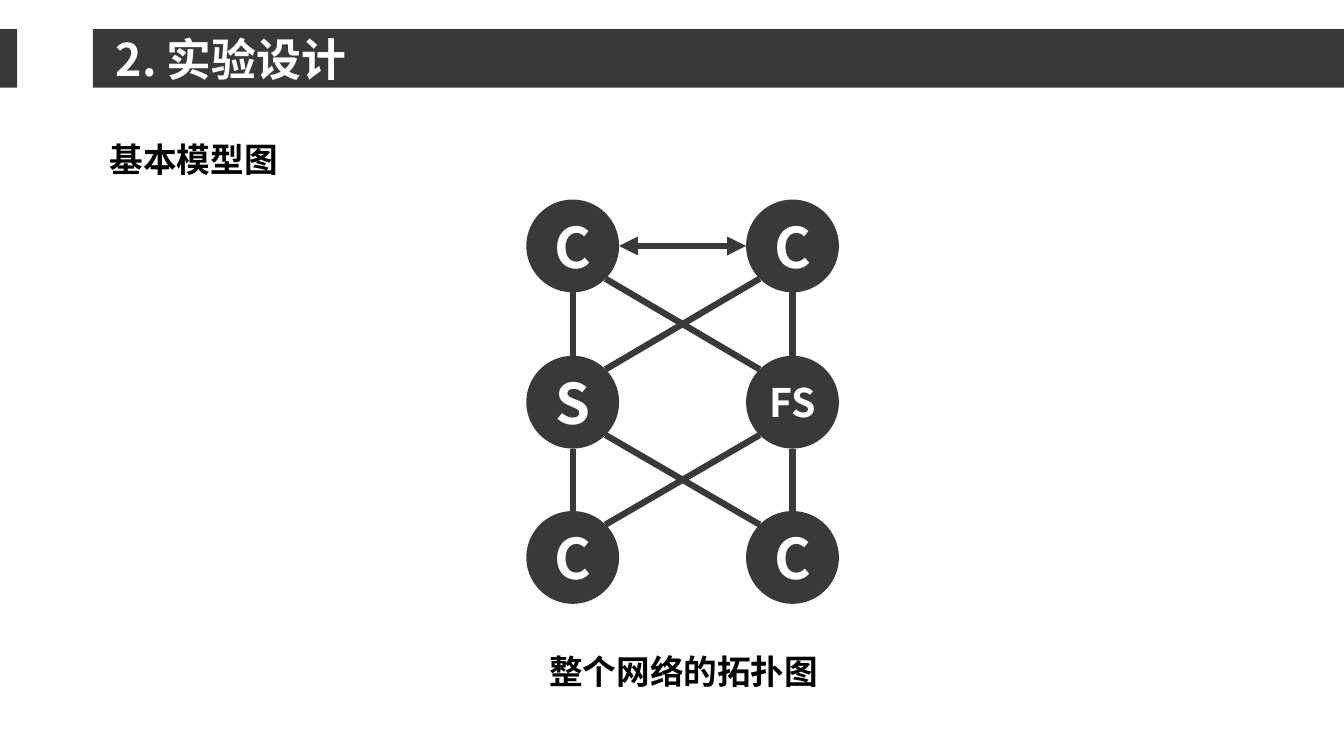
import math

import pptx
import pptx.dml.color
import pptx.enum.shapes
import pptx.enum.text
import pptx.oxml
import pptx.oxml.ns
import pptx.util

Inches = pptx.util.Inches
Pt = pptx.util.Pt
SHAPE = pptx.enum.shapes.MSO_SHAPE


def rgb(value):
    return pptx.dml.color.RGBColor.from_string(value)


def write(tf, text, size=24, color="000000", align="LEFT", anchor="TOP", wrap=True):
    tf.word_wrap = wrap
    tf.vertical_anchor = pptx.enum.text.MSO_ANCHOR[anchor]
    p = tf.paragraphs[0]
    p.alignment = pptx.enum.text.PP_ALIGN[align]
    r = p.add_run()
    r.text = text
    r.font.size = Pt(size)
    r.font.bold = True
    r.font.color.rgb = rgb(color)
    r.font.name = Deck.font
    ea = pptx.oxml.parse_xml(
        f'<a:ea {pptx.oxml.ns.nsdecls("a")} typeface="{Deck.font}"/>')
    r.font._element.append(ea)


class Deck:
    font = "Noto Sans CJK SC"
    dark = "3B3838"
    white = "FFFFFF"

    def __init__(self, slide):
        self.shapes = slide.shapes

    def shape(self, kind, x, y, w, h):
        sp = self.shapes.add_shape(kind, Inches(x), Inches(y), Inches(w), Inches(h))
        sp.shadow.inherit = False
        sp.fill.solid()
        sp.fill.fore_color.rgb = rgb(self.dark)
        sp.line.fill.background()
        return sp

    def text(self, x, y, w, h, text, **style):
        sp = self.shapes.add_textbox(Inches(x), Inches(y), Inches(w), Inches(h))
        write(sp.text_frame, text, **style)
        sp.text_frame.auto_size = pptx.enum.text.MSO_AUTO_SIZE.SHAPE_TO_FIT_TEXT

    def node(self, x, y, radius, label, size):
        """Draw a circle centred on x, y with its label on one line."""
        sp = self.shape(SHAPE.OVAL, x - radius, y - radius, 2 * radius, 2 * radius)
        write(sp.text_frame, label, size=size, color=self.white,
              align="CENTER", anchor="MIDDLE", wrap=False)

    def line(self, x1, y1, x2, y2, arrows=False):
        cx = self.shapes.add_connector(
            pptx.enum.shapes.MSO_CONNECTOR.STRAIGHT,
            Inches(x1), Inches(y1), Inches(x2), Inches(y2))
        cx.line.color.rgb = rgb(self.dark)
        cx.line.width = Pt(4.5)
        if arrows:
            ln = cx.line._get_or_add_ln()
            for end in ("headEnd", "tailEnd"):
                ln.append(pptx.oxml.parse_xml(
                    f'<a:{end} {pptx.oxml.ns.nsdecls("a")} type="triangle"/>'))
        cx._element.spPr.append(pptx.oxml.parse_xml(
            f'<a:effectLst {pptx.oxml.ns.nsdecls("a")}/>'))


def draw_topology(deck):
    radius = 0.46
    diagonal = radius * math.sqrt(0.5)
    left, right = columns = (5.68, 7.86)
    rows = (2.44, 3.99, 5.53)
    labels = (("C", "C"), ("S", "FS"), ("C", "C"))

    for y, row in zip(rows, labels):
        for x, label in zip(columns, row):
            deck.node(x, y, radius, label, size=28 if label == "FS" else 40)

    for upper, lower in zip(rows, rows[1:]):
        for x in columns:
            deck.line(x, upper + radius, x, lower - radius)
        inner = (left + diagonal, right - diagonal)
        for start, end in (inner, inner[::-1]):
            deck.line(start, upper + diagonal, end, lower - diagonal)

    deck.line(left + radius, rows[0], right - radius, rows[0], arrows=True)


def main():
    prs = pptx.Presentation()
    prs.slide_width, prs.slide_height = Inches(13.33), Inches(7.5)
    deck = Deck(prs.slides.add_slide(prs.slide_layouts[6]))

    for x, width in ((0.92, 12.41), (0, 0.17)):
        deck.shape(SHAPE.RECTANGLE, x, 0.29, width, 0.58)
    deck.text(1.05, 0.27, 3.2, 0.64, "2. 实验设计", size=32, color=deck.white)
    draw_topology(deck)
    deck.text(5.35, 6.41, 3.1, 0.5, "整个网络的拓扑图")
    deck.text(0.99, 1.33, 3.1, 0.5, "基本模型图")
    prs.save("out.pptx")


if __name__ == "__main__":
    main()
